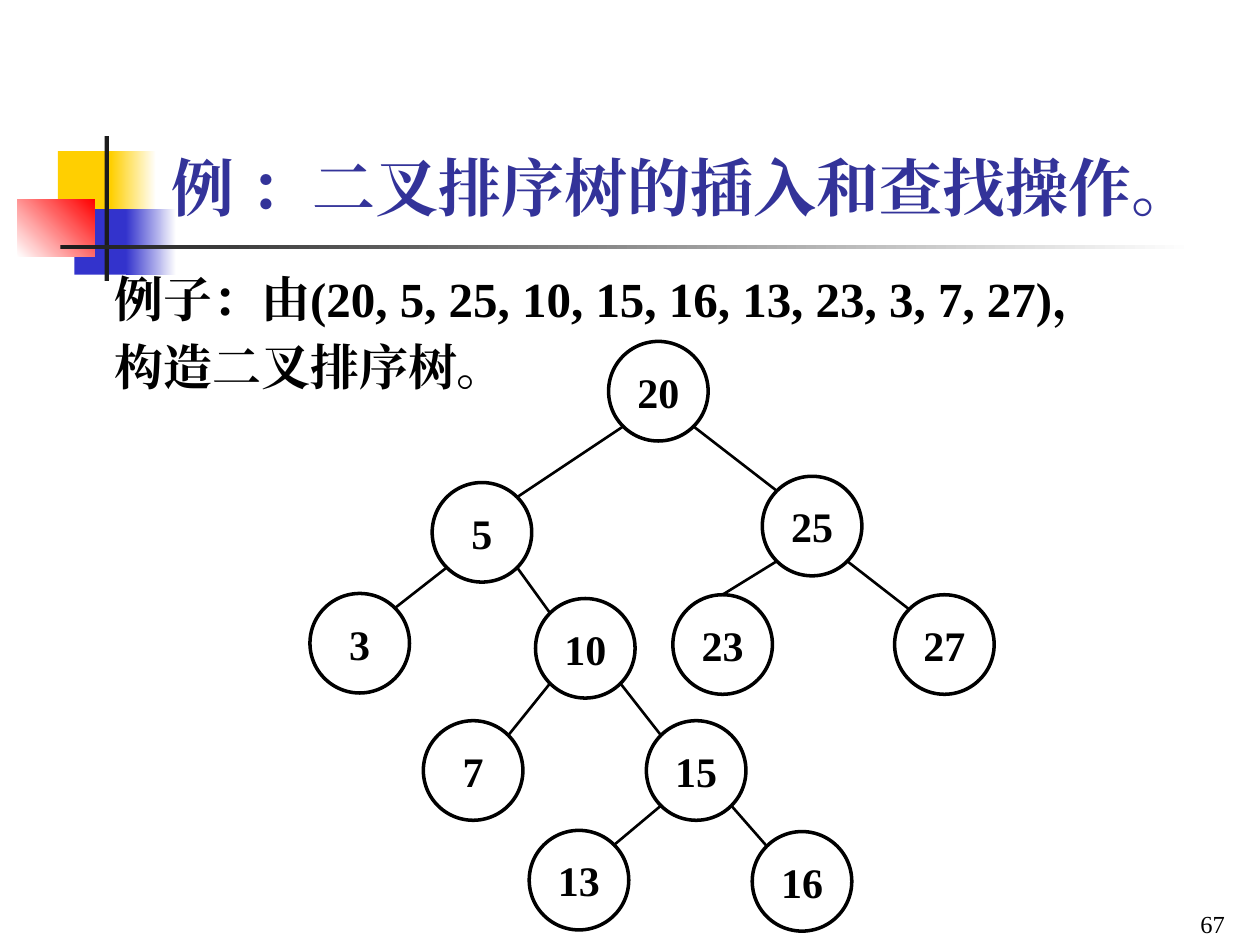
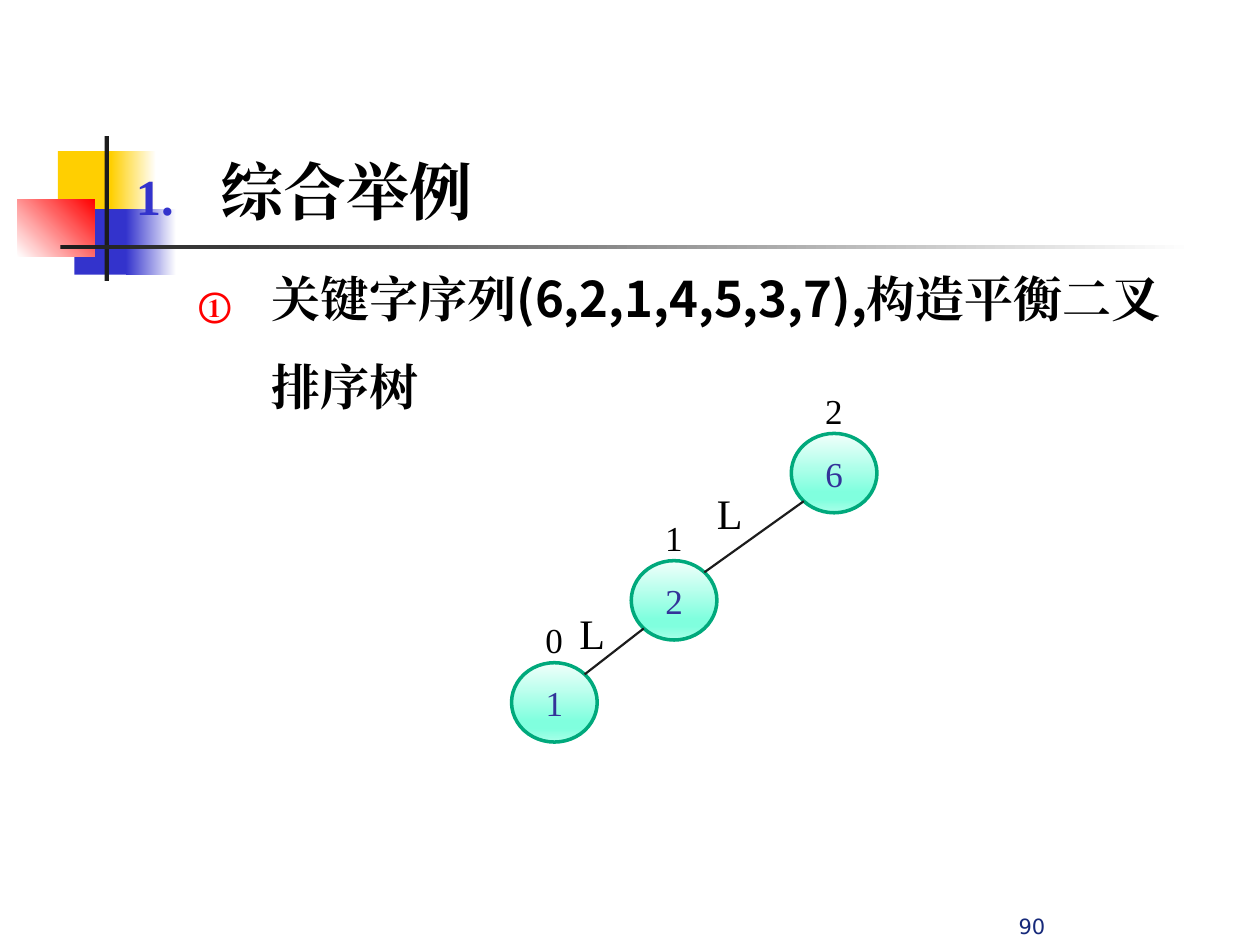
from collections import namedtuple
from math import sqrt

from lxml.etree import SubElement
from pptx import Presentation
from pptx.dml.color import RGBColor
from pptx.enum.shapes import MSO_CONNECTOR, MSO_SHAPE
from pptx.enum.text import MSO_ANCHOR, PP_ALIGN
from pptx.oxml.ns import qn
from pptx.util import Inches, Pt

# The slide is a grid of 100 columns by 75 rows
SLIDE_WIDTH, SLIDE_HEIGHT = Inches(10), Inches(7.5)
COLUMN, ROW = SLIDE_WIDTH / 100, SLIDE_HEIGHT / 75

WHITE = RGBColor(0xFF, 0xFF, 0xFF)
BLACK = RGBColor(0x00, 0x00, 0x00)
INK = RGBColor(0x1C, 0x1C, 0x1C)
YELLOW = RGBColor(0xFF, 0xCF, 0x01)
BLUE = RGBColor(0x33, 0x33, 0xCC)
RED = RGBColor(0xFF, 0x00, 0x00)
INDIGO = RGBColor(0x33, 0x33, 0x99)
NAVY = RGBColor(0x16, 0x29, 0x7A)
GREEN = RGBColor(0x00, 0xA9, 0x7C)
MINT_PALE = RGBColor(0xF1, 0xFF, 0xFB)
MINT = RGBColor(0x80, 0xFF, 0xDE)
MINT_SOFT = RGBColor(0xAA, 0xFF, 0xE9)

SERIF, SANS, CJK = "Times New Roman", "DejaVu Sans", "Noto Sans CJK SC"

Box = namedtuple("Box", "left top width height")
TextStyle = namedtuple("TextStyle", "size color bold font", defaults=(False, SERIF))
TreeStyle = namedtuple("TreeStyle", "width height text outline stops edge edge_width")

TITLE = TextStyle(36, INDIGO, True)
HEADING = TextStyle(36, BLACK, True)
BODY = TextStyle(28, BLACK, True)
KEYS = TextStyle(28, BLACK, True, CJK)
PLAIN_TREE = TreeStyle(7.9, 7.9, TextStyle(24, BLACK, True), BLACK, None, BLACK, 1.5)
MINT_TREE = TreeStyle(
    6.8, 6.3, TextStyle(20, INDIGO), GREEN,
    [(0, MINT_PALE), (74, MINT), (83, MINT), (100, MINT_SOFT)], INK, 1.25)


def inside(box, left, top, width, height):
    """Box whose place is counted from the corner of another box."""
    return Box(box.left + left, box.top + top, width, height)


def measures(box):
    return (round(box.left * COLUMN), round(box.top * ROW),
            round(box.width * COLUMN), round(box.height * ROW))


def fill_gradient(shape, stops, angle):
    shape.fill.gradient()
    shape.fill.gradient_angle = (360 - angle) % 360
    stop_list = shape._element.spPr.find(qn("a:gradFill")).find(qn("a:gsLst"))
    for old_stop in list(stop_list):
        stop_list.remove(old_stop)
    for position, color in stops:
        stop = SubElement(stop_list, qn("a:gs"), pos=str(position * 1000))
        SubElement(stop, qn("a:srgbClr"), val=str(color))


def format_paragraph(paragraph, text, style, align=PP_ALIGN.LEFT):
    paragraph.text = text
    paragraph.alignment = align
    for run in paragraph.runs:
        run.font.name = style.font
        run.font.size = Pt(style.size)
        run.font.bold = style.bold
        run.font.color.rgb = style.color
        SubElement(run._r.rPr, qn("a:ea"), typeface=SERIF)


def indent(paragraph, margin, first_line):
    properties = paragraph._p.get_or_add_pPr()
    properties.set("marL", str(round(margin * COLUMN)))
    properties.set("indent", str(round(first_line * COLUMN)))


def add_bullet(paragraph, scheme, color, percent):
    properties = paragraph._p.get_or_add_pPr()
    bullet_color = SubElement(properties, qn("a:buClr"))
    SubElement(bullet_color, qn("a:srgbClr"), val=str(color))
    SubElement(properties, qn("a:buSzPct"), val=str(percent * 1000))
    SubElement(properties, qn("a:buFont"), typeface=CJK)
    SubElement(properties, qn("a:buAutoNum"), type=scheme)


def add_text(slide, box, text, style, align=PP_ALIGN.LEFT, anchor=MSO_ANCHOR.TOP, wrap=True):
    text_frame = slide.shapes.add_textbox(*measures(box)).text_frame
    text_frame.word_wrap = wrap
    text_frame.vertical_anchor = anchor
    format_paragraph(text_frame.paragraphs[0], text, style, align)
    return text_frame


def add_block(slide, box, color, stops=None, angle=0):
    shape = slide.shapes.add_shape(MSO_SHAPE.RECTANGLE, *measures(box))
    shape.shadow.inherit = False
    shape.line.fill.background()
    if stops:
        fill_gradient(shape, stops, angle)
    else:
        shape.fill.solid()
        shape.fill.fore_color.rgb = color


def add_ornament(slide, box):
    """Coloured squares and crossed rules beside the title."""
    # Solid squares, each fading out to the right
    for left, top, width, fade_left, fade_width, color in (
            (3.2, 1.2, 4.8, 7.4, 3.6, YELLOW), (4.5, 5.8, 4.6, 8.6, 4, BLUE)):
        add_block(slide, inside(box, left, top, width, 5.2), color)
        add_block(slide, inside(box, fade_left, top, fade_width, 5.2), color,
                  [(0, color), (100, WHITE)])
    add_block(slide, inside(box, 0, 5, 6.1, 4.6), RED, [(0, WHITE), (100, RED)], 315)
    # Vertical and horizontal rules
    add_block(slide, inside(box, 6.9, 0, 0.35, box.height), INK)
    add_block(slide, inside(box, 3.4, 8.65, 90, 0.35), INK, [(0, INK), (100, WHITE)])


def add_node(slide, box, label, style):
    node = slide.shapes.add_shape(MSO_SHAPE.OVAL, *measures(box))
    node.shadow.inherit = False
    node.line.color.rgb = style.outline
    node.line.width = Pt(2)
    if style.stops:
        fill_gradient(node, style.stops, 90)
    else:
        node.fill.background()
    text_frame = node.text_frame
    text_frame.word_wrap = False
    text_frame.vertical_anchor = MSO_ANCHOR.MIDDLE
    format_paragraph(text_frame.paragraphs[0], label, style.text, PP_ALIGN.CENTER)
    return node


def rim_point(node, side, level):
    """Diagonal point of an ellipse: side -1 left, 1 right; level -1 top, 1 bottom."""
    share = 1 / sqrt(8)
    return (round(node.left + node.width * (0.5 + side * share)),
            round(node.top + node.height * (0.5 + level * share)))


def add_edge(slide, parent, child, style, from_top):
    side = 1 if child.left > parent.left else -1
    edge = slide.shapes.add_connector(
        MSO_CONNECTOR.STRAIGHT, *rim_point(parent, side, 1), *rim_point(child, -side, -1))
    if from_top:
        edge.end_connect(child, 0)
    edge.line.color.rgb = style.edge
    edge.line.width = Pt(style.edge_width)
    SubElement(edge._element.spPr, qn("a:effectLst"))


def add_tree(slide, box, places, style, top_joined=()):
    """Places hold label, left, top and parent label, parents first."""
    nodes = {}
    for label, left, top, parent in places:
        node_box = inside(box, left, top, style.width, style.height)
        nodes[label] = add_node(slide, node_box, label, style)
        if parent:
            add_edge(slide, nodes[parent], nodes[label], style, label in top_joined)


def add_base_slide(presentation):
    slide = presentation.slides.add_slide(presentation.slide_layouts[6])
    add_ornament(slide, Box(1.4, 10.8, 93.4, 11.5))
    return slide


def build_search_tree_slide(presentation):
    slide = add_base_slide(presentation)
    add_text(slide, Box(12.6, 9.1, 85.2, 9.2), "例 ：二叉排序树的插入和查找操作。", TITLE,
             anchor=MSO_ANCHOR.BOTTOM)

    # Task
    text_frame = add_text(slide, Box(1.2, 20.8, 97.6, 45),
                          "例子：由(20, 5, 25, 10, 15, 16, 13, 23, 3, 7, 27)，", BODY)
    second = text_frame.add_paragraph()
    format_paragraph(second, "构造二叉排序树。", BODY)
    second.space_before = Pt(5.6)
    for paragraph in text_frame.paragraphs:
        indent(paragraph, 6.7, 0.2)

    # Binary search tree
    add_tree(slide, Box(24.6, 27.1, 54.3, 46.8), [
        ("20", 23.7, 0, None),
        ("5", 9.7, 11.2, "20"), ("25", 35.9, 10.7, "20"),
        ("3", 0, 20, "5"), ("10", 17.9, 20.4, "5"),
        ("23", 28.8, 20.1, "25"), ("27", 46.4, 20.1, "25"),
        ("7", 9, 30.1, "10"), ("15", 26.7, 30.1, "10"),
        ("13", 17.4, 38.8, "15"), ("16", 35.1, 38.9, "15"),
    ], PLAIN_TREE, top_joined=("23",))

    add_text(slide, Box(77.4, 70, 20.8, 5), "67", TextStyle(14, BLACK),
             PP_ALIGN.RIGHT, MSO_ANCHOR.BOTTOM)


def build_balanced_tree_slide(presentation):
    slide = add_base_slide(presentation)

    # Numbered heading and task
    text_frame = add_text(slide, Box(9.8, 12.3, 85, 45), "综合举例", HEADING)
    heading = text_frame.paragraphs[0]
    heading.line_spacing = 0.9
    indent(heading, 6.7, -6.7)
    add_bullet(heading, "arabicPeriod", BLUE, 80)
    task = text_frame.add_paragraph()
    format_paragraph(task, "关键字序列(6,2,1,4,5,3,7),构造平衡二叉排序树", KEYS)
    task.level = 1
    task.line_spacing = 1.5
    task.space_before = Pt(5.6)
    indent(task, 10.8, -5.8)
    add_bullet(task, "circleNumDbPlain", RED, 70)

    # Tree leaning left, with balance factors and rotation marks
    tree_box = Box(40.6, 30.4, 29, 28.5)
    places = [("6", 22.2, 4, None), ("2", 9.5, 14.1, "6"), ("1", 0, 22.2, "2")]
    add_tree(slide, tree_box, places, MINT_TREE)
    for factor, (label, left, top, parent) in zip("210", places):
        add_text(slide, inside(tree_box, left + 1.7, top - 4, 3.4, 4.4), factor,
                 TextStyle(20, BLACK), wrap=False)
    for left, top in ((15.3, 7.8), (4.4, 17.3)):
        add_text(slide, inside(tree_box, left, top, 4.1, 5), "L",
                 TextStyle(24, BLACK), wrap=False)

    add_text(slide, Box(63.8, 72.6, 36.2, 2.4), "90", TextStyle(12, NAVY, font=SANS),
             PP_ALIGN.CENTER, MSO_ANCHOR.BOTTOM)


def main():
    presentation = Presentation()
    presentation.slide_width = SLIDE_WIDTH
    presentation.slide_height = SLIDE_HEIGHT
    build_search_tree_slide(presentation)
    build_balanced_tree_slide(presentation)
    presentation.save("out.pptx")


if __name__ == "__main__":
    main()
